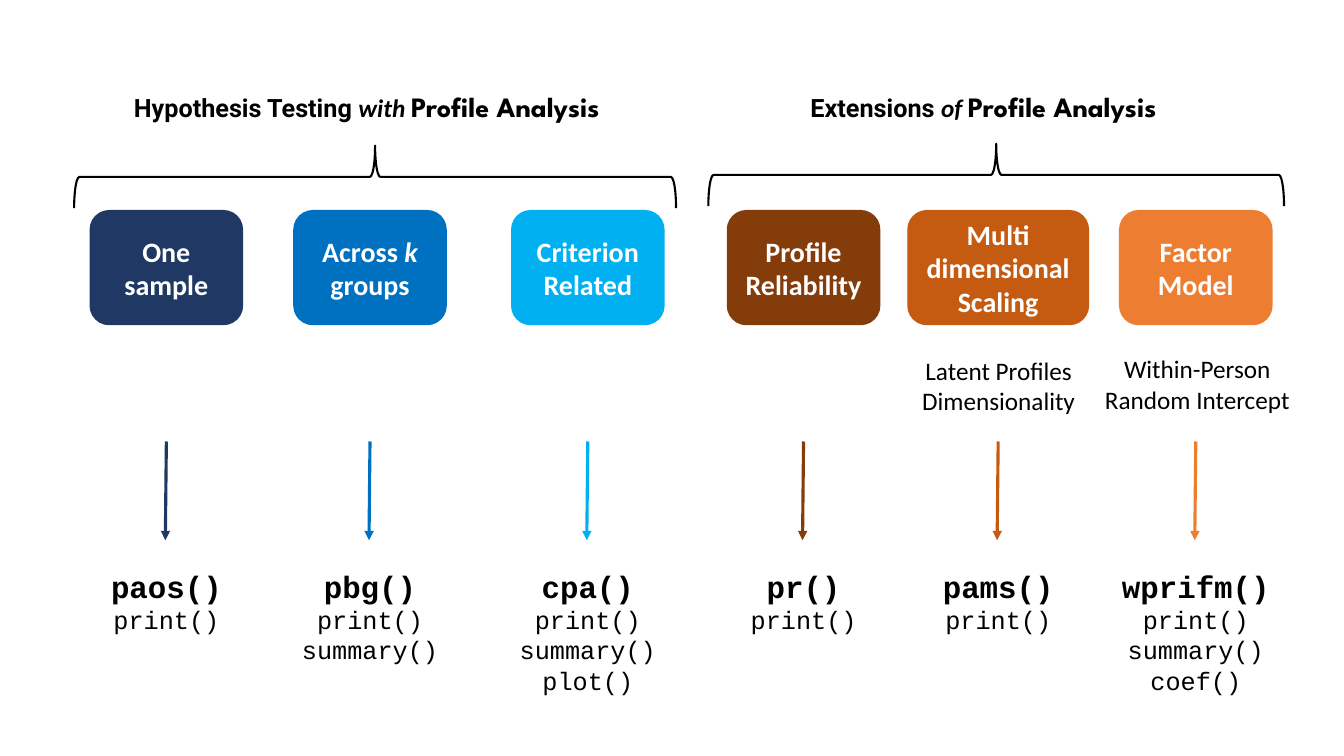
"""Build the slide that maps profile analysis methods to their R functions."""
from lxml.etree import SubElement
from pptx import Presentation
from pptx.dml.color import RGBColor
from pptx.enum.shapes import MSO_CONNECTOR, MSO_SHAPE
from pptx.enum.text import MSO_ANCHOR, MSO_AUTO_SIZE, PP_ALIGN
from pptx.oxml.ns import qn
from pptx.util import Inches, Pt

COLORS = {
    "navy": "203864", "blue": "0070C0", "sky": "00B0F0",
    "brown": "843C0B", "rust": "C55A11", "orange": "ED7D31",
    "black": "000000", "white": "FFFFFF",
}
RGB = {name: RGBColor.from_string(code) for name, code in COLORS.items()}


def write(frame, paragraphs, color="black", align=PP_ALIGN.CENTER):
    """Fill a frame with paragraphs of (text, font, size, bold, italic) runs."""
    for index, runs in enumerate(paragraphs):
        paragraph = frame.paragraphs[0] if index == 0 else frame.add_paragraph()
        paragraph.alignment = align
        for text, font, size, bold, italic in runs:
            run = paragraph.add_run()
            run.text = text
            run.font.name = font
            run.font.size = Pt(size)
            run.font.bold = bold
            run.font.italic = italic
            run.font.color.rgb = RGB[color]


def add_label(left, top, width, height, paragraphs, margin=None, align=PP_ALIGN.CENTER):
    """Add an unwrapped text box that grows with its text."""
    label = slide.shapes.add_textbox(Inches(left), Inches(top), Inches(width), Inches(height))
    frame = label.text_frame
    frame.word_wrap = False
    frame.auto_size = MSO_AUTO_SIZE.SHAPE_TO_FIT_TEXT
    if margin is not None:
        frame.margin_left = frame.margin_right = Inches(margin)
        frame.margin_top = frame.margin_bottom = Inches(margin)
    write(frame, paragraphs, align=align)


prs = Presentation()
prs.slide_width, prs.slide_height = Inches(13.33), Inches(7.5)
slide = prs.slides.add_slide(prs.slide_layouts[6])

# heading start, left, width, joining word, brace centre x, centre y, span
groups = [
    ("Hypothesis Testing ", 1.23, 4.99, "with ", 3.72, 1.755, 5.97),
    ("Extensions ", 7.94, 3.87, "of ", 9.88, 1.735, 5.71),
]
BRACE_DEPTH = 0.62
for topic, left, width, joiner, center_x, center_y, span in groups:
    brace = slide.shapes.add_shape(
        MSO_SHAPE.LEFT_BRACE, Inches(center_x - BRACE_DEPTH / 2),
        Inches(center_y - span / 2), Inches(BRACE_DEPTH), Inches(span))
    brace.rotation = 90
    brace.shadow.inherit = False
    brace.fill.background()
    brace.line.color.rgb = RGB["black"]
    brace.line.width = Pt(1.5)
    heading = [(topic, "Roboto", 18, True, False), (joiner, "Calibri", 18, True, True),
               ("Profile Analysis", "League Spartan", 20, True, False)]
    add_label(left, 0.84, width, 0.44, [heading], align=PP_ALIGN.LEFT)

# centre x, colour, box width, box paragraphs, function width, functions
methods = [
    (1.65, "navy", 1.51, [["One sample"]], 1.32, ["paos()", "print()"]),
    (3.67, "blue", 1.51, [["Across ", "k", " groups"]], 1.56,
     ["pbg()", "print()", "summary()"]),
    (5.83, "sky", 1.51, [["Criterion Related"]], 1.56,
     ["cpa()", "print()", "summary()", "plot()"]),
    (7.97, "brown", 1.51, [["Profile Reliability"]], 1.26, ["pr()", "print()"]),
    (9.9, "rust", 1.79, [["Multi"], ["dimensional Scaling"]], 1.32, ["pams()", "print()"]),
    (11.86, "orange", 1.51, [["Factor Model"]], 1.69,
     ["wprifm()", "print()", "summary()", "coef()"]),
]
for center, color, box_width, title, function_width, functions in methods:
    box = slide.shapes.add_shape(
        MSO_SHAPE.ROUNDED_RECTANGLE, Inches(center - box_width / 2), Inches(2.09),
        Inches(box_width), Inches(1.13))
    box.shadow.inherit = False
    box.fill.solid()
    box.fill.fore_color.rgb = RGB[color]
    box.line.color.rgb = RGB[color]
    box.line.width = Pt(1)
    box.text_frame.word_wrap = True
    box.text_frame.vertical_anchor = MSO_ANCHOR.MIDDLE
    write(box.text_frame,
          [[(text, "Calibri", 20, True, text == "k") for text in runs] for runs in title],
          color="white")

    arrow = slide.shapes.add_connector(
        MSO_CONNECTOR.STRAIGHT, Inches(center), Inches(4.38),
        Inches(center - 0.01), Inches(5.36))
    arrow.line.color.rgb = RGB[color]
    arrow.line.width = Pt(2.25)
    SubElement(arrow.line._get_or_add_ln(), qn("a:tailEnd"), type="triangle")
    SubElement(arrow._element.spPr, qn("a:effectLst"))

    calls = [[(call, "Courier New", 18 if row else 22, row == 0, False)]
             for row, call in enumerate(functions)]
    add_label(center - function_width / 2, 5.58, function_width,
              0.17 + 0.3 * len(functions), calls)

notes = [
    (9.14, 3.52, 1.53, ["Latent Profiles", "Dimensionality"]),
    (10.95, 3.51, 1.85, ["Within-Person", "Random Intercept"]),
]
for left, top, width, lines in notes:
    add_label(left, top, width, 0.61,
              [[(line, "Calibri", 18, False, False)] for line in lines], margin=0)

prs.save("out.pptx")
